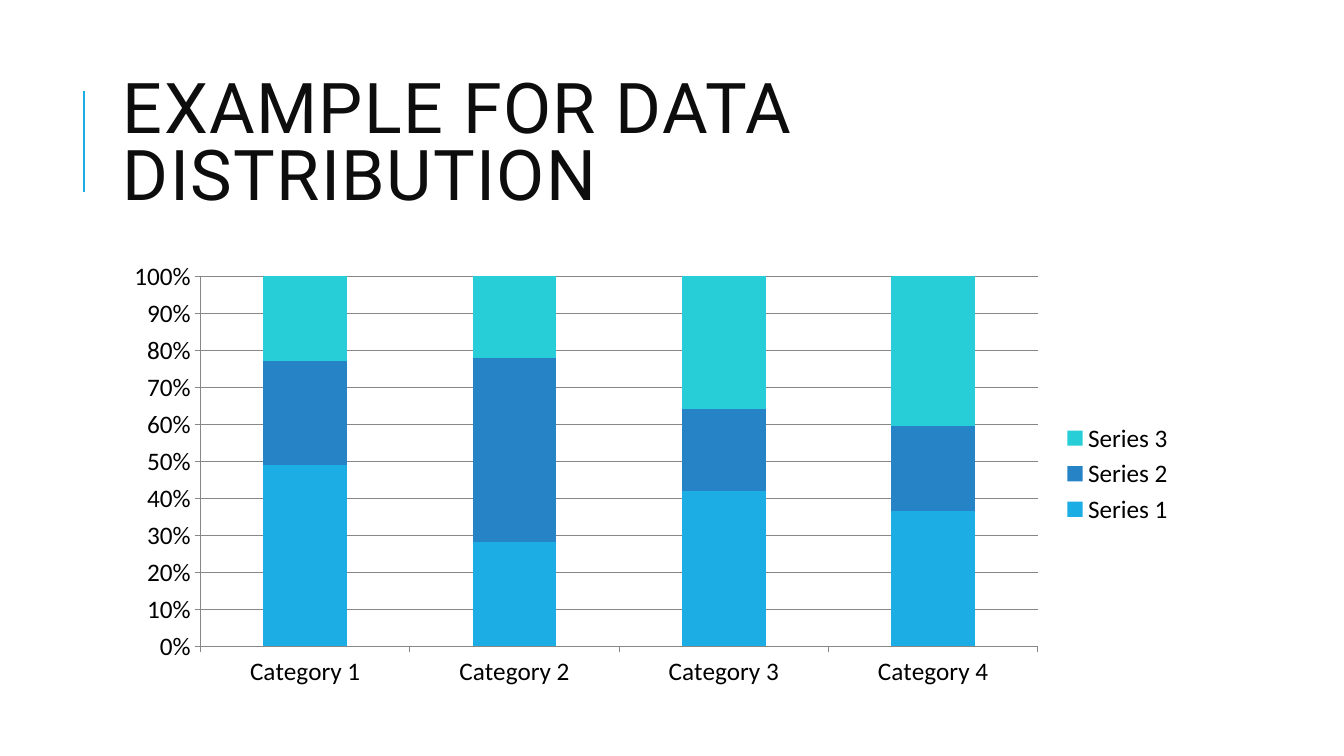
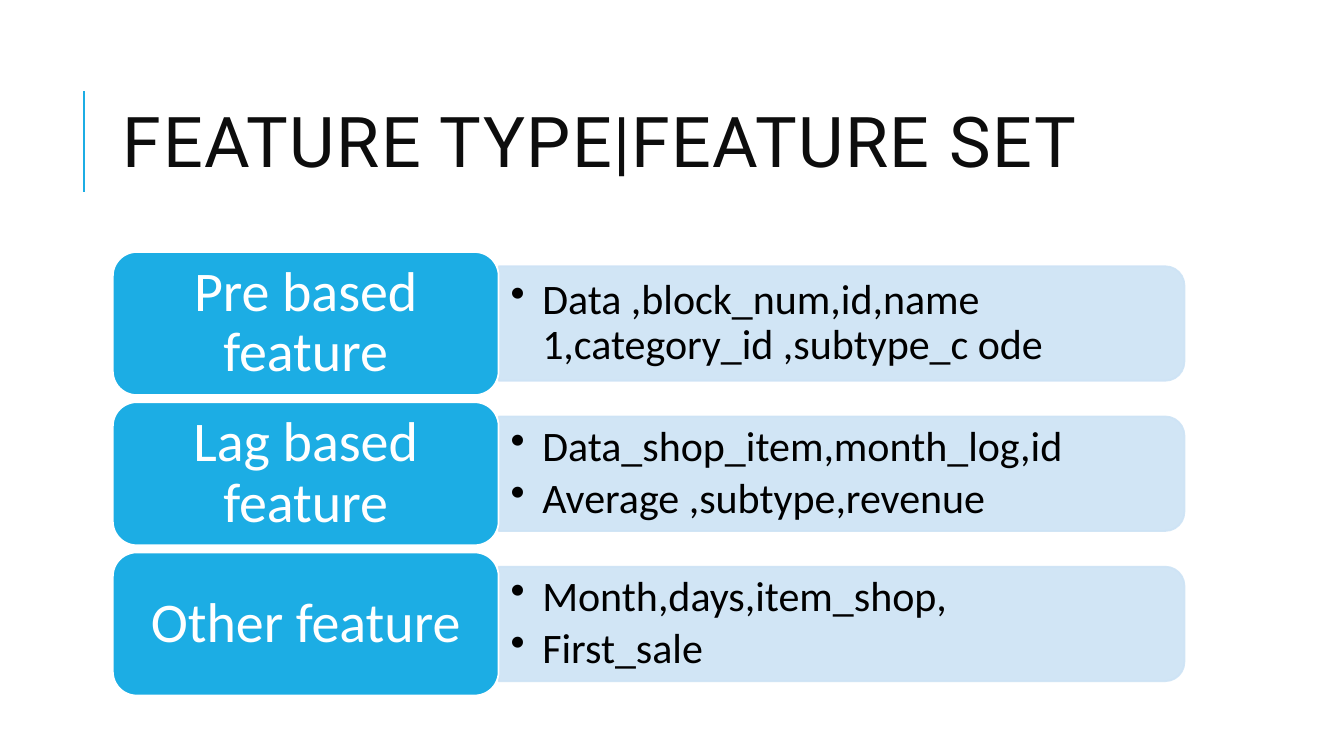
import dataclasses

import pptx
import pptx.chart.data
import pptx.dml.color
import pptx.enum.chart
import pptx.enum.shapes
import pptx.enum.text
import pptx.oxml
import pptx.oxml.ns
import pptx.util

Pt = pptx.util.Pt
SHAPE = pptx.enum.shapes.MSO_SHAPE
ALIGN = pptx.enum.text.PP_ALIGN
MIDDLE = pptx.enum.text.MSO_ANCHOR.MIDDLE

TITLE_FONT, BODY_FONT = "Roboto", "Calibri"
ACCENT, BLUE, TEAL = "1CADE4", "2683C6", "27CED7"
PALE, WHITE, BLACK, INK, GREY = "CDE3F5", "FFFFFF", "000000", "0D0D0D", "878787"

LEFT, TOP, WIDTH, HEIGHT = 80.64, 180, 765.36, 316.8
LABEL_WIDTH = WIDTH * 0.36
BAND_WIDTH = WIDTH - LABEL_WIDTH
GAP_SHARE = 0.05
BAND_SHARE = 0.8


@dataclasses.dataclass(frozen=True)
class Series:
    name: str
    values: tuple[int, ...]
    color: str


@dataclasses.dataclass(frozen=True)
class Feature:
    label: str
    items: tuple[str, ...]


CATEGORIES = [f"Category {n}" for n in range(1, 5)]
SERIES = (
    Series("Series 1", (49, 28, 42, 37), ACCENT),
    Series("Series 2", (28, 49, 22, 23), BLUE),
    Series("Series 3", (23, 22, 36, 41), TEAL),
)
FEATURES = (
    Feature("Pre based feature", ("Data ,block_num,id,name 1,category_id ,subtype_c ode",)),
    Feature("Lag based feature", ("Data_shop_item,month_log,id", "Average ,subtype,revenue")),
    Feature("Other feature", ("Month,days,item_shop,", "First_sale")),
)


def rgb(color: str) -> pptx.dml.color.RGBColor:
    return pptx.dml.color.RGBColor.from_string(color)


def set_font(font, name: str, size: float, color: str) -> None:
    font.name = name
    font.size = Pt(size)
    font.color.rgb = rgb(color)


def set_frame(tf, horizontal: float, vertical: float) -> None:
    """Wrap the text, centre it vertically and set its insets."""
    tf.word_wrap = True
    tf.vertical_anchor = MIDDLE
    tf.margin_left = tf.margin_right = Pt(horizontal)
    tf.margin_top = tf.margin_bottom = Pt(vertical)


def add_titled_slide(prs, title: str):
    """Add a slide with the accent rule and the formatted title."""
    s = prs.slides.add_slide(prs.slide_layouts[5])
    rule = s.shapes.add_connector(
        pptx.enum.shapes.MSO_CONNECTOR.STRAIGHT, Pt(60), Pt(136.8), Pt(60), Pt(64.8))
    rule.line.color.rgb = rgb(ACCENT)
    rule.line.width = Pt(1.5)
    pptx.oxml.ns.qn("a:effectLst")
    rule._element.spPr.append(pptx.oxml.parse_xml(
        f'<a:effectLst {pptx.oxml.ns.nsdecls("a")}/>'))

    sp = s.shapes.title
    sp.left, sp.top, sp.width, sp.height = Pt(LEFT), Pt(46), Pt(WIDTH), Pt(118)
    tf = sp.text_frame
    tf.text = title
    set_frame(tf, 7.2, 3.6)
    tf.auto_size = pptx.enum.text.MSO_AUTO_SIZE.NONE
    p = tf.paragraphs[0]
    p.alignment = ALIGN.LEFT
    p.line_spacing = 0.8
    r = p.runs[0]
    set_font(r.font, TITLE_FONT, 50, INK)
    r._r.get_or_add_rPr().set("spc", "100")
    return s


def add_distribution_chart(s) -> None:
    data = pptx.chart.data.CategoryChartData()
    data.categories = CATEGORIES
    for series in SERIES:
        data.add_series(series.name, series.values)
    chart = s.shapes.add_chart(
        pptx.enum.chart.XL_CHART_TYPE.COLUMN_STACKED_100,
        Pt(LEFT), Pt(TOP), Pt(WIDTH), Pt(HEIGHT), data).chart
    set_font(chart.font, BODY_FONT, 18, BLACK)
    chart.has_title = False
    chart.has_legend = True
    chart.legend.position = pptx.enum.chart.XL_LEGEND_POSITION.RIGHT
    chart.legend.include_in_layout = False

    plot = chart.plots[0]
    plot.gap_width = 150
    plot.overlap = 100
    plot.vary_by_categories = False
    for drawn, series in zip(plot.series, SERIES):
        drawn.format.fill.solid()
        drawn.format.fill.fore_color.rgb = rgb(series.color)

    value_axis = chart.value_axis
    value_axis.has_major_gridlines = True
    value_axis.tick_labels.number_format = "0%"
    value_axis.tick_labels.number_format_is_linked = False
    for part in (chart.category_axis, value_axis, value_axis.major_gridlines):
        part.format.line.color.rgb = rgb(GREY)
        part.format.line.width = Pt(0.75)
    for axis in (chart.category_axis, value_axis):
        axis.major_tick_mark = pptx.enum.chart.XL_TICK_MARK.OUTSIDE


def add_box(s, kind, left: float, top: float, width: float, height: float,
            fill: str, line: str):
    sp = s.shapes.add_shape(kind, Pt(left), Pt(top), Pt(width), Pt(height))
    sp.shadow.inherit = False
    sp.fill.solid()
    sp.fill.fore_color.rgb = rgb(fill)
    sp.line.color.rgb = rgb(line)
    sp.line.width = Pt(1.25)
    return sp


def set_opacity(sp, percent: int) -> None:
    """Apply one opacity to the fill and the line."""
    for color in sp._element.spPr.iter(pptx.oxml.ns.qn("a:srgbClr")):
        color.append(pptx.oxml.parse_xml(
            f'<a:alpha {pptx.oxml.ns.nsdecls("a")} val="{percent * 1000}"/>'))


def set_bullet(p, indent: float) -> None:
    pPr = p._p.get_or_add_pPr()
    pPr.set("marL", str(Pt(indent)))
    pPr.set("indent", str(-Pt(indent)))
    pPr.append(pptx.oxml.parse_xml(
        f'<a:buChar {pptx.oxml.ns.nsdecls("a")} char="•"/>'))


def add_band(s, top: float, height: float) -> None:
    """Draw a band rounded on its right side: a top-rounded shape turned by 90°."""
    center_x = LEFT + LABEL_WIDTH + BAND_WIDTH / 2
    center_y = top + height / 2
    sp = add_box(s, SHAPE.ROUND_2_SAME_RECTANGLE, center_x - height / 2,
                 center_y - BAND_WIDTH / 2, height, BAND_WIDTH, PALE, PALE)
    sp.rotation = 90
    set_opacity(sp, 90)


def add_items(s, items: tuple[str, ...], top: float, height: float) -> None:
    sp = s.shapes.add_textbox(
        Pt(LEFT + LABEL_WIDTH), Pt(top), Pt(BAND_WIDTH - 4), Pt(height))
    tf = sp.text_frame
    set_frame(tf, 8.64, 4.32)
    tf.text = "\n".join(items)
    for p in tf.paragraphs:
        p.alignment = ALIGN.LEFT
        p.line_spacing = 0.9
        p.space_after = Pt(4.5)
        set_bullet(p, 22.5)
        set_font(p.runs[0].font, BODY_FONT, 30, BLACK)


def add_label(s, label: str, top: float, height: float) -> None:
    sp = add_box(s, SHAPE.ROUNDED_RECTANGLE, LEFT, top, LABEL_WIDTH, height, ACCENT, WHITE)
    tf = sp.text_frame
    set_frame(tf, 12, 6)
    tf.text = label
    p = tf.paragraphs[0]
    p.alignment = ALIGN.CENTER
    p.line_spacing = 0.9
    set_font(p.runs[0].font, BODY_FONT, 40, WHITE)


def add_feature_rows(s) -> None:
    count = len(FEATURES)
    height = HEIGHT / (count + (count - 1) * GAP_SHARE)
    band_height = height * BAND_SHARE
    for i, feature in enumerate(FEATURES):
        top = TOP + i * height * (1 + GAP_SHARE)
        band_top = top + (height - band_height) / 2
        add_band(s, band_top, band_height)
        add_items(s, feature.items, band_top, band_height)
        add_label(s, feature.label, top, height)


def main() -> None:
    prs = pptx.Presentation()
    prs.slide_width, prs.slide_height = Pt(960), Pt(540)
    add_distribution_chart(add_titled_slide(prs, "EXAMPLE FOR DATA DISTRIBUTION"))
    add_feature_rows(add_titled_slide(prs, "FEATURE TYPE|FEATURE SET"))
    prs.save("out.pptx")


if __name__ == "__main__":
    main()
